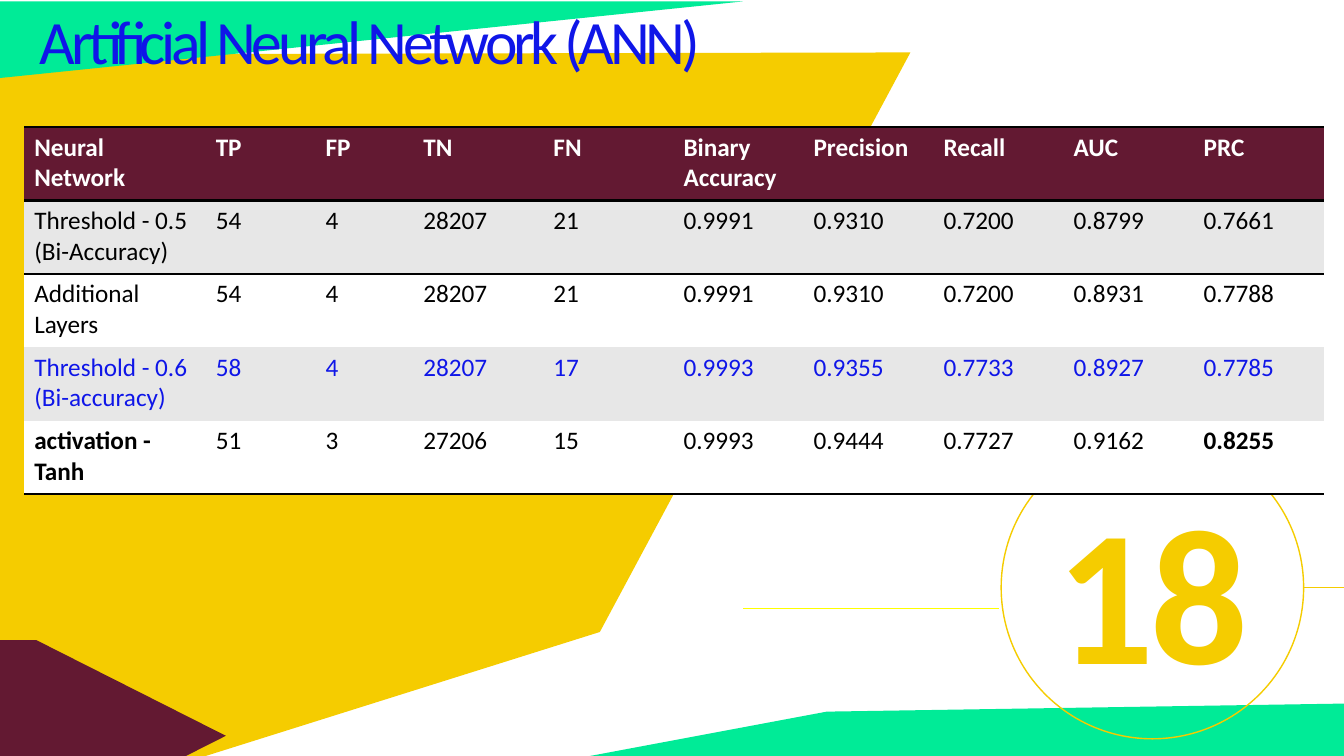
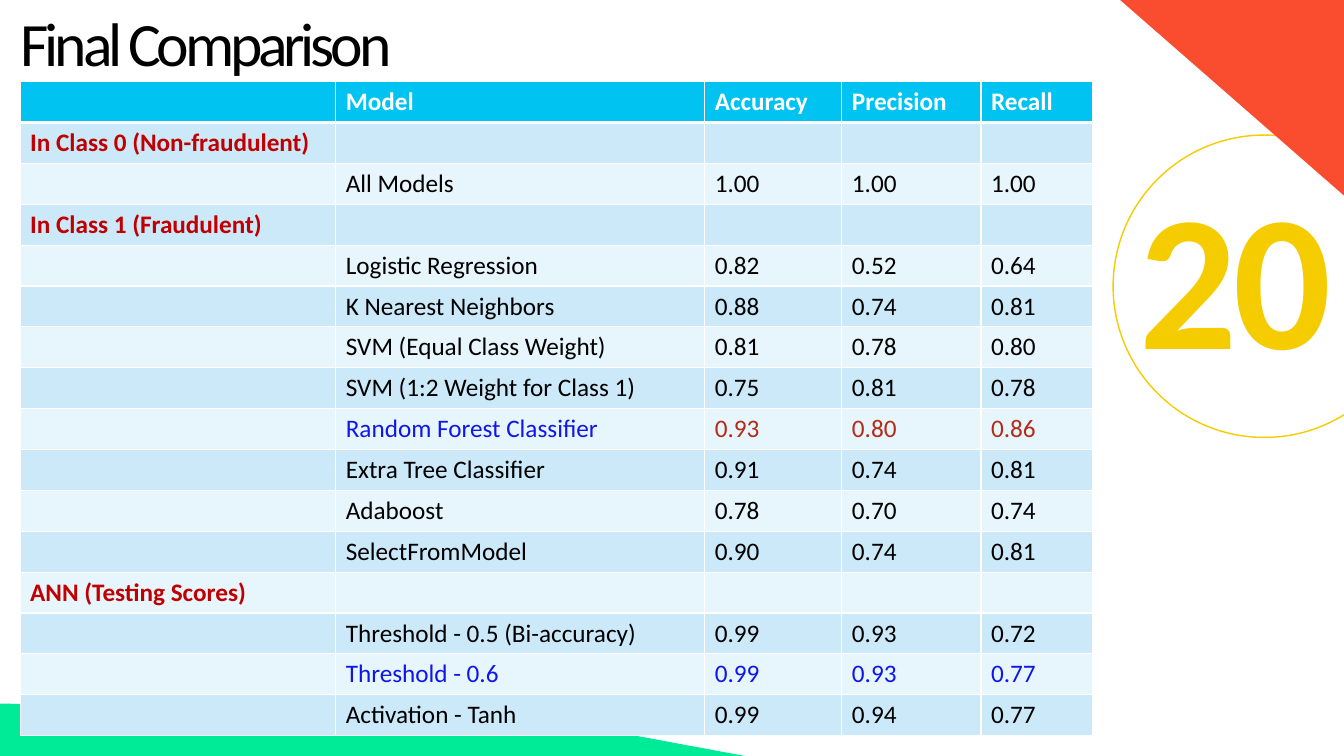
from lxml import etree
from pptx import Presentation
from pptx.dml.color import RGBColor
from pptx.enum.shapes import MSO_CONNECTOR, MSO_SHAPE
from pptx.enum.text import MSO_ANCHOR, MSO_AUTO_SIZE, PP_ALIGN
from pptx.oxml.ns import qn
from pptx.util import Inches, Pt

STRAIGHT = MSO_CONNECTOR.STRAIGHT
OVAL = MSO_SHAPE.OVAL
PENTAGON = MSO_SHAPE.PENTAGON
TRIANGLE = MSO_SHAPE.RIGHT_TRIANGLE
CENTER = PP_ALIGN.CENTER
MIDDLE = MSO_ANCHOR.MIDDLE
NO_AUTOFIT = MSO_AUTO_SIZE.NONE
PLAIN_TABLE = "{2D5ABB26-0587-4C30-8999-92F81FD0307C}"


class Theme:
    font = "Calibri"
    title_size, number_size, table_size = 44, 138, 18
    spacing = -300
    black, white = "000000", "FFFFFF"
    gold, green, maroon, orange = "F5CC00", "00EB97", "631932", "FA4C2E"
    yellow, blue, crimson, brick = "FFFF00", "0F16E8", "C00000", "B42B18"
    cyan, sky, ice, grey = "00C3F1", "CCE9FA", "E7F5FC", "E7E7E7"


def style_text(paragraph, size, color, bold=False, spacing=None):
    font = paragraph.font
    font.name, font.size, font.bold = Theme.font, Pt(size), bold
    font.color.rgb = RGBColor.from_string(color)
    if spacing is not None:
        paragraph._p.pPr.find(qn("a:defRPr")).set("spc", str(spacing))


def paint(shape, color):
    shape.shadow.inherit = False
    shape.fill.solid()
    shape.fill.fore_color.rgb = RGBColor.from_string(color)
    shape.line.fill.background()


ann_rows = [
    ("Neural Network", "TP", "FP", "TN", "FN", "Binary Accuracy", "Precision", "Recall", "AUC", "PRC"),
    ("Threshold - 0.5\n(Bi-Accuracy)", "54", "4", "28207", "21", "0.9991", "0.9310", "0.7200", "0.8799", "0.7661"),
    ("Additional Layers", "54", "4", "28207", "21", "0.9991", "0.9310", "0.7200", "0.8931", "0.7788"),
    ("Threshold - 0.6\n(Bi-accuracy)", "58", "4", "28207", "17", "0.9993", "0.9355", "0.7733", "0.8927", "0.7785"),
    ("activation - Tanh", "51", "3", "27206", "15", "0.9993", "0.9444", "0.7727", "0.9162", "0.8255"),
]

comparison_rows = [
    ("", "Model", "Accuracy", "Precision", "Recall"),
    ("In Class 0 (Non-fraudulent)", "", "", "", ""),
    ("", "All Models", "1.00", "1.00", "1.00"),
    ("In Class 1 (Fraudulent)", "", "", "", ""),
    ("", "Logistic Regression", "0.82", "0.52", "0.64"),
    ("", "K Nearest Neighbors", "0.88", "0.74", "0.81"),
    ("", "SVM (Equal Class Weight)", "0.81", "0.78", "0.80"),
    ("", "SVM (1:2 Weight for Class 1)", "0.75", "0.81", "0.78"),
    ("", "Random Forest Classifier", "0.93", "0.80", "0.86"),
    ("", "Extra Tree Classifier", "0.91", "0.74", "0.81"),
    ("", "Adaboost", "0.78", "0.70", "0.74"),
    ("", "SelectFromModel", "0.90", "0.74", "0.81"),
    ("ANN (Testing Scores)", "", "", "", ""),
    ("", "Threshold - 0.5 (Bi-accuracy)", "0.99", "0.93", "0.72"),
    ("", "Threshold - 0.6", "0.99", "0.93", "0.77"),
    ("", "Activation - Tanh", "0.99", "0.94", "0.77"),
]

# Text colours are keyed by cell text or row number; rules hold line widths from top to bottom.
pages = [
    {
        "title": "Artificial Neural Network (ANN)",
        "title_box": (-0.13, -0.02, 7.6, 0.84),
        "title_color": Theme.blue,
        "number": "18",
        "number_box": (10.22, 4.62, 2.42, 2.42),
        "circle_box": (9.93, 4.33, 3, 3),
        "polygons": [
            (Theme.gold, [(0, 0.54), (9.03, 0.52), (5.95, 6.27), (2.04, 7.5), (0, 7.5)]),
            (Theme.green, [(13.33, 7.5), (13.33, 6.98), (8.2, 7.06), (5.85, 7.5)]),
        ],
        "ornaments": [
            (PENTAGON, (-0.35, 6.35, 2.59, 1.9), 0, Theme.maroon),
            (TRIANGLE, (3.3, -3.29, 0.76, 7.37), 90, Theme.green),
        ],
        "lines": [
            (12.93, 13.33, 5.83, Theme.gold),
            (7.37, 9.91, 6.04, Theme.yellow),
        ],
        "rows": ann_rows,
        "table_box": (0.24, 1.26, 12.85, 3.64),
        "columns": [1.8, 1.09, 0.97] + [1.29] * 7,
        "fills": (Theme.maroon, Theme.grey, Theme.white),
        "rule_color": Theme.black,
        "rules": [2, 2, 0, 0, 0, 2],
        "side_rule": 0,
        "row_colors": {3: Theme.blue},
        "cell_colors": {},
        "bold_cells": {(4, 0), (4, 9)},
    },
    {
        "title": "Final Comparison",
        "title_box": (0, 0, 4.09, 0.84),
        "title_color": Theme.black,
        "number": "20",
        "number_box": (11.04, 1.37, 2.42, 2.67),
        "circle_box": (11.04, 1.34, 3, 3),
        "polygons": [
            (Theme.green, [(0, 7.5), (0, 6.98), (5.02, 7.06), (7.39, 7.5)]),
        ],
        "ornaments": [(TRIANGLE, (11.25, -0.14, 1.94, 2.22), 180, Theme.orange)],
        "lines": [],
        "rows": comparison_rows,
        "table_box": (0.2, 0.81, 10.63, 6.45),
        "columns": [3.13, 3.66, 1.36, 1.38, 1.11],
        "fills": (Theme.cyan, Theme.sky, Theme.ice),
        "rule_color": Theme.white,
        "rules": [1, 3] + [1] * 15,
        "side_rule": 1,
        "row_colors": {8: Theme.brick, 14: Theme.blue},
        "cell_colors": {(8, 1): Theme.blue, **{(r, 0): Theme.crimson for r in (1, 3, 12)}},
        "bold_cells": {(r, 0) for r in (1, 3, 12)},
    },
]
# The corner triangle spans 2.22 by 1.94 inches, so it needs a half turn only.
pages[1]["ornaments"] = [(TRIANGLE, (11.11, 0, 2.22, 1.94), 180, Theme.orange)]

prs = Presentation()
prs.slide_width, prs.slide_height = Inches(13.33), Inches(7.5)
title_only = prs.slide_layouts[5]

for page in pages:
    slide = prs.slides.add_slide(title_only)
    shapes = slide.shapes

    for color, points in page["polygons"]:
        corners = [(Inches(x), Inches(y)) for x, y in points]
        builder = shapes.build_freeform(*corners[0])
        builder.add_line_segments(corners[1:], close=True)
        paint(builder.convert_to_shape(), color)

    circle = shapes.add_shape(OVAL, *map(Inches, page["circle_box"]))
    circle.shadow.inherit = False
    circle.fill.background()
    circle.line.color.rgb = RGBColor.from_string(Theme.gold)
    circle.line.width = Pt(1)

    number = shapes.add_textbox(*map(Inches, page["number_box"]))
    number.text_frame.text = page["number"]

    for preset, box, rotation, color in page["ornaments"]:
        ornament = shapes.add_shape(preset, *map(Inches, box))
        ornament.rotation = rotation
        paint(ornament, color)
        if preset == PENTAGON:
            ornament.adjustments[0] = 0.99

    for left, right, y, color in page["lines"]:
        rule = shapes.add_connector(STRAIGHT, Inches(left), Inches(y), Inches(right), Inches(y))
        rule.line.color.rgb = RGBColor.from_string(color)
        rule.line.width = Pt(0.5)
        etree.SubElement(rule._element.spPr, qn("a:effectLst"))

    title = shapes.title
    title.left, title.top, title.width, title.height = map(Inches, page["title_box"])
    title.text_frame.text = page["title"]
    shapes._spTree.append(title._element)

    for heading, size, color, bold in (
        (number, Theme.number_size, Theme.gold, True),
        (title, Theme.title_size, page["title_color"], False),
    ):
        frame = heading.text_frame
        frame.word_wrap = False
        frame.auto_size = NO_AUTOFIT
        frame.vertical_anchor = MIDDLE
        frame.paragraphs[0].alignment = CENTER
        style_text(frame.paragraphs[0], size, color, bold, Theme.spacing)

    rows, columns = page["rows"], page["columns"]
    table = shapes.add_table(len(rows), len(columns), *map(Inches, page["table_box"])).table
    table._tbl.tblPr.find(qn("a:tableStyleId")).text = PLAIN_TABLE
    for column, width in zip(table.columns, columns):
        column.width = Inches(width)

    header_fill, odd_fill, even_fill = page["fills"]
    for r, row in enumerate(rows):
        if r == 0:
            fill, row_color = header_fill, Theme.white
        else:
            fill = odd_fill if r % 2 else even_fill
            row_color = page["row_colors"].get(r, Theme.black)
        edges = {
            "lnL": page["side_rule"],
            "lnR": page["side_rule"],
            "lnT": page["rules"][r],
            "lnB": page["rules"][r + 1],
        }
        for c, text in enumerate(row):
            cell = table.cell(r, c)
            cell.text = text
            color = page["cell_colors"].get((r, c), row_color)
            bold = r == 0 or (r, c) in page["bold_cells"]
            for paragraph in cell.text_frame.paragraphs:
                style_text(paragraph, Theme.table_size, color, bold)
            properties = cell._tc.get_or_add_tcPr()
            for edge, width in edges.items():
                if width:
                    border = etree.SubElement(properties, qn(f"a:{edge}"), w=str(Pt(width)))
                    border_fill = etree.SubElement(border, qn("a:solidFill"))
                    etree.SubElement(border_fill, qn("a:srgbClr"), val=page["rule_color"])
            cell.fill.solid()
            cell.fill.fore_color.rgb = RGBColor.from_string(fill)

prs.save("out.pptx")
